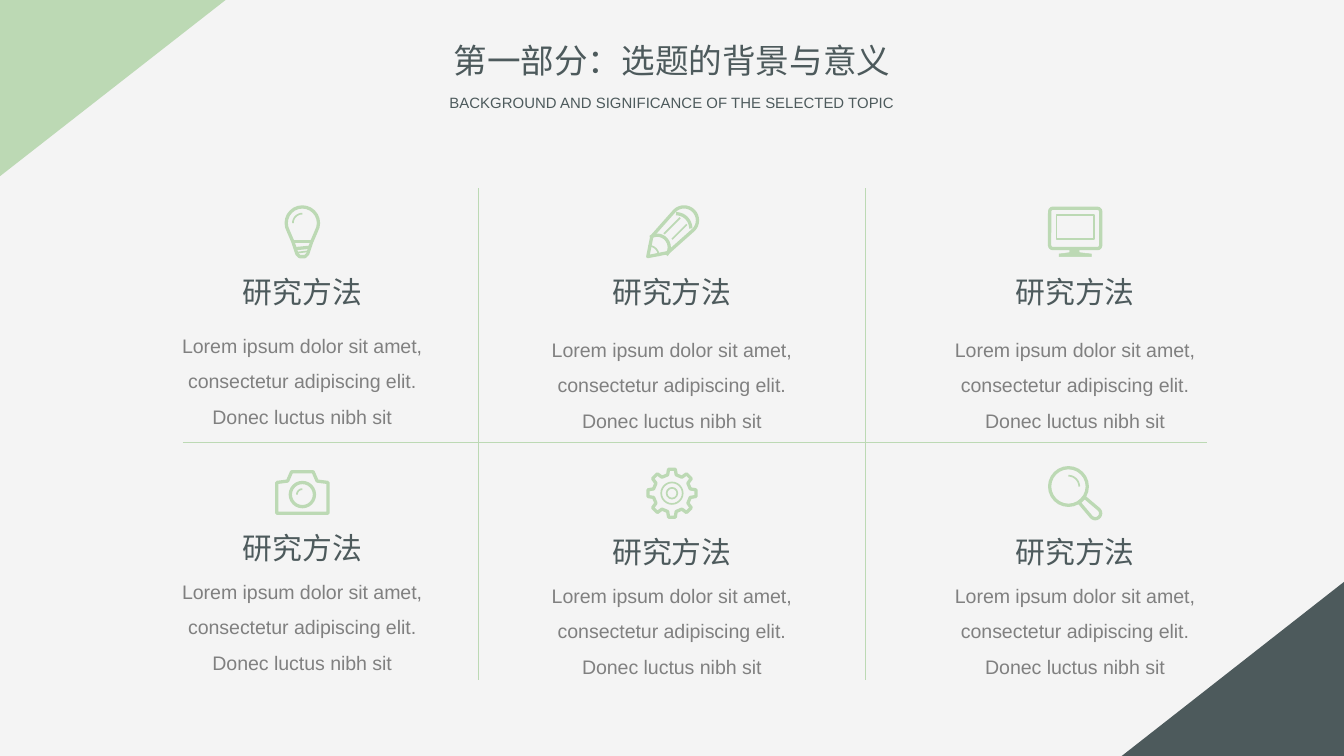
from dataclasses import dataclass
from math import cos, radians, sin

from lxml import etree
from pptx import Presentation
from pptx.dml.color import RGBColor
from pptx.enum.shapes import MSO_CONNECTOR, MSO_SHAPE
from pptx.enum.text import MSO_AUTO_SIZE, PP_ALIGN
from pptx.oxml.ns import qn
from pptx.util import Inches, Pt

STRAIGHT = MSO_CONNECTOR.STRAIGHT
TRIANGLE = MSO_SHAPE.RIGHT_TRIANGLE
OVAL = MSO_SHAPE.OVAL
RECT = MSO_SHAPE.RECTANGLE
ROUNDED = MSO_SHAPE.ROUNDED_RECTANGLE
CENTER = PP_ALIGN.CENTER
FIT_SHAPE = MSO_AUTO_SIZE.SHAPE_TO_FIT_TEXT

PAPER = RGBColor(0xF4, 0xF4, 0xF4)
GREEN = RGBColor(0xBC, 0xD9, 0xB4)
SLATE = RGBColor(0x4D, 0x5A, 0x5C)
GRAY = RGBColor(0x80, 0x80, 0x80)
CJK = "Noto Sans CJK SC"
LATIN = "Arial"
BOLD, THIN = 1.75, 0.9
LOREM = "Lorem ipsum dolor sit amet, consectetur adipiscing elit. Donec luctus nibh sit"

Point = tuple[float, float]


@dataclass
class Stroke:
    points: list[Point]
    weight: float = BOLD
    closed: bool = False
    filled: bool = False


@dataclass
class Preset:
    kind: MSO_SHAPE
    x: float
    y: float
    w: float
    h: float
    weight: float = BOLD


@dataclass
class Card:
    x: float
    icon_y: float
    title_y: float
    body_y: float
    icon: list


def arc(cx: float, cy: float, r: float, start: int, end: int, steps: int = 16) -> list[Point]:
    angles = [radians(start + (end - start) * i / steps) for i in range(steps + 1)]
    return [(cx + r * cos(a), cy + r * sin(a)) for a in angles]


def circle(cx: float, cy: float, r: float, weight: float = BOLD) -> Preset:
    return Preset(OVAL, cx - r, cy - r, 2 * r, 2 * r, weight)


def gear_outline() -> list[Point]:
    tooth = [(0.14, -13), (0.18, -8), (0.18, 8), (0.14, 13)]
    return [(r * cos(radians(45 * i + a)), r * sin(radians(45 * i + a)))
            for i in range(8) for r, a in tooth]


BULB = [
    Stroke(arc(0, -0.07, 0.12, 150, 390)
           + [(0.07, 0.07), (0.04, 0.16), (0.02, 0.18), (-0.02, 0.18), (-0.04, 0.16), (-0.07, 0.07)],
           closed=True),
    Stroke([(-0.07, 0.07), (0.07, 0.07)]),
    Stroke([(-0.05, 0.12), (0.05, 0.11)]),
    Stroke([(-0.04, 0.15), (0.04, 0.14)], THIN),
    Stroke(arc(0, -0.07, 0.07, 180, 270), THIN),
]
PENCIL = [
    Stroke([(-0.18, 0.18), (-0.15, 0.03)] + arc(0.09, -0.09, 0.1, 225, 405) + [(-0.03, 0.15)],
           closed=True),
    Stroke(arc(0.03, -0.03, 0.11, 270, 360)),
    Stroke(arc(-0.11, 0.11, 0.09, 235, 400)),
    Stroke(arc(-0.17, 0.17, 0.07, 265, 365), THIN),
    Stroke([(-0.06, 0.01), (0.06, -0.11)], THIN),
    Stroke([(0, 0.05), (0.11, -0.06)], THIN),
]
MONITOR = [
    Preset(ROUNDED, -0.19, -0.18, 0.38, 0.3),
    Preset(RECT, -0.14, -0.13, 0.28, 0.18, THIN),
    Stroke([(-0.04, 0.13), (0.03, 0.13), (0.03, 0.15), (0.12, 0.16), (0.12, 0.18),
            (-0.12, 0.18), (-0.12, 0.16), (-0.04, 0.15)], 0.25, True, True),
]
CAMERA = [
    Stroke([(-0.19, 0.15), (-0.19, -0.08), (-0.11, -0.09), (-0.08, -0.16),
            (0.08, -0.16), (0.11, -0.09), (0.19, -0.08), (0.19, 0.15)], closed=True),
    circle(0, 0.01, 0.09),
    Stroke(arc(0, 0.01, 0.04, 180, 270), THIN),
]
GEAR = [
    Stroke(gear_outline(), closed=True),
    circle(0, 0, 0.08, THIN),
    circle(0, 0, 0.04, THIN),
]
MAGNIFIER = [
    circle(-0.05, -0.05, 0.14),
    Stroke([(0.07, 0.03)] + arc(0.15, 0.15, 0.04, -45, 135) + [(0.03, 0.07)], closed=True),
    Stroke(arc(-0.05, -0.05, 0.08, 270, 360), THIN),
]
CARDS = [
    Card(2.25, 1.73, 1.99, 2.35, BULB),
    Card(2.25, 3.67, 3.89, 4.18, CAMERA),
    Card(5, 1.73, 1.99, 2.38, PENCIL),
    Card(5, 3.67, 3.92, 4.21, GEAR),
    Card(8, 1.73, 1.99, 2.38, MONITOR),
    Card(8, 3.67, 3.92, 4.21, MAGNIFIER),
]


def add_corner(s, x: float, y: float, w: float, h: float, rotation: int, color: RGBColor) -> None:
    sp = s.shapes.add_shape(TRIANGLE, Inches(x), Inches(y), Inches(w), Inches(h))
    sp.rotation = rotation
    sp.shadow.inherit = False
    sp.fill.solid()
    sp.fill.fore_color.rgb = color
    sp.line.fill.background()


def add_rule(s, x1: float, y1: float, x2: float, y2: float) -> None:
    line = s.shapes.add_connector(STRAIGHT, Inches(x1), Inches(y1), Inches(x2), Inches(y2))
    line.line.color.rgb = GREEN
    line.line.width = Pt(0.5)
    etree.SubElement(line._element.spPr, qn("a:effectLst"))


def add_text(s, text: str, center: float, y: float, w: float, h: float, size: float,
             font: str, color: RGBColor, wrap: bool = False, spacing: float = 1.0) -> None:
    box = s.shapes.add_textbox(Inches(center - w / 2), Inches(y), Inches(w), Inches(h))
    tf = box.text_frame
    tf.word_wrap = wrap
    tf.auto_size = FIT_SHAPE
    p = tf.paragraphs[0]
    p.text = text
    p.alignment = CENTER
    p.line_spacing = spacing
    p.font.size = Pt(size)
    p.font.name = font
    p.font.color.rgb = color
    etree.SubElement(p.font._element, qn("a:ea")).set("typeface", font)


def add_icon(s, icon: list, cx: float, cy: float) -> None:
    for part in icon:
        if isinstance(part, Preset):
            sp = s.shapes.add_shape(part.kind, Inches(cx + part.x), Inches(cy + part.y),
                                    Inches(part.w), Inches(part.h))
            if part.kind == ROUNDED:
                sp.adjustments[0] = 0.08
        else:
            points = [(Inches(cx + x), Inches(cy + y)) for x, y in part.points]
            builder = s.shapes.build_freeform(*points[0])
            builder.add_line_segments(points[1:], close=part.closed)
            sp = builder.convert_to_shape()
        sp.shadow.inherit = False
        if isinstance(part, Stroke) and part.filled:
            sp.fill.solid()
            sp.fill.fore_color.rgb = GREEN
        else:
            sp.fill.background()
        sp.line.color.rgb = GREEN
        sp.line.width = Pt(part.weight)


def main() -> None:
    prs = Presentation()
    prs.slide_width = Inches(10)
    prs.slide_height = Inches(10 * 9 / 16)
    s = prs.slides.add_slide(prs.slide_layouts[6])
    s.background.fill.solid()
    s.background.fill.fore_color.rgb = PAPER
    add_corner(s, 0.18, -0.19, 1.32, 1.69, 90, GREEN)
    add_corner(s, 8.52, 4.15, 1.3, 1.66, 270, SLATE)
    add_rule(s, 1.36, 3.29, 8.98, 3.29)
    for x in (3.56, 6.44):
        add_rule(s, x, 1.4, x, 5.06)
    for card in CARDS:
        add_text(s, "研究方法", card.x, card.title_y, 1.1, 0.37, 16, CJK, SLATE)
        add_text(s, LOREM, card.x, card.body_y, 2.27, 0.87, 10.5, LATIN, GRAY, True, 1.5)
        add_icon(s, card.icon, card.x, card.icon_y)
    add_text(s, "第一部分：选题的背景与意义", 5, 0.25, 3.48, 0.4, 18, CJK, SLATE)
    add_text(s, "BACKGROUND AND SIGNIFICANCE OF THE SELECTED TOPIC",
             5, 0.65, 3.55, 0.24, 8, LATIN, SLATE)
    prs.save("out.pptx")


if __name__ == "__main__":
    main()
